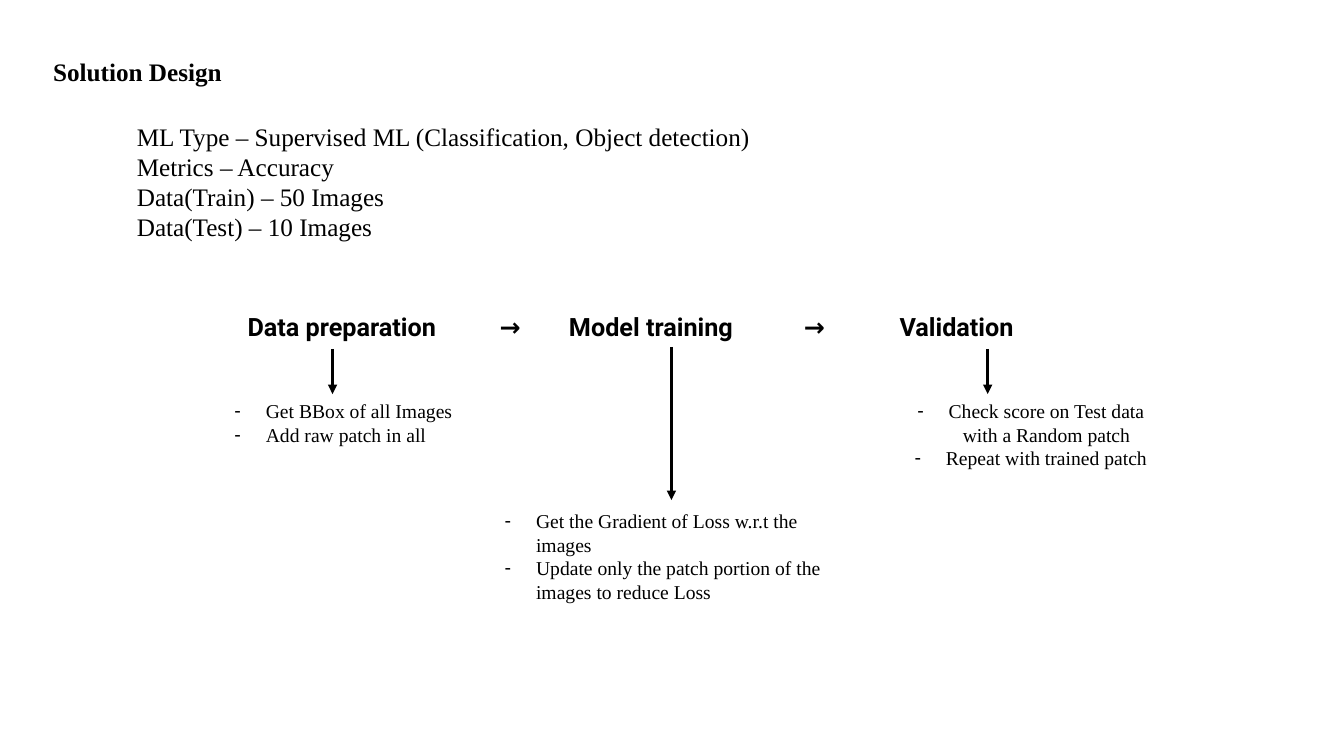
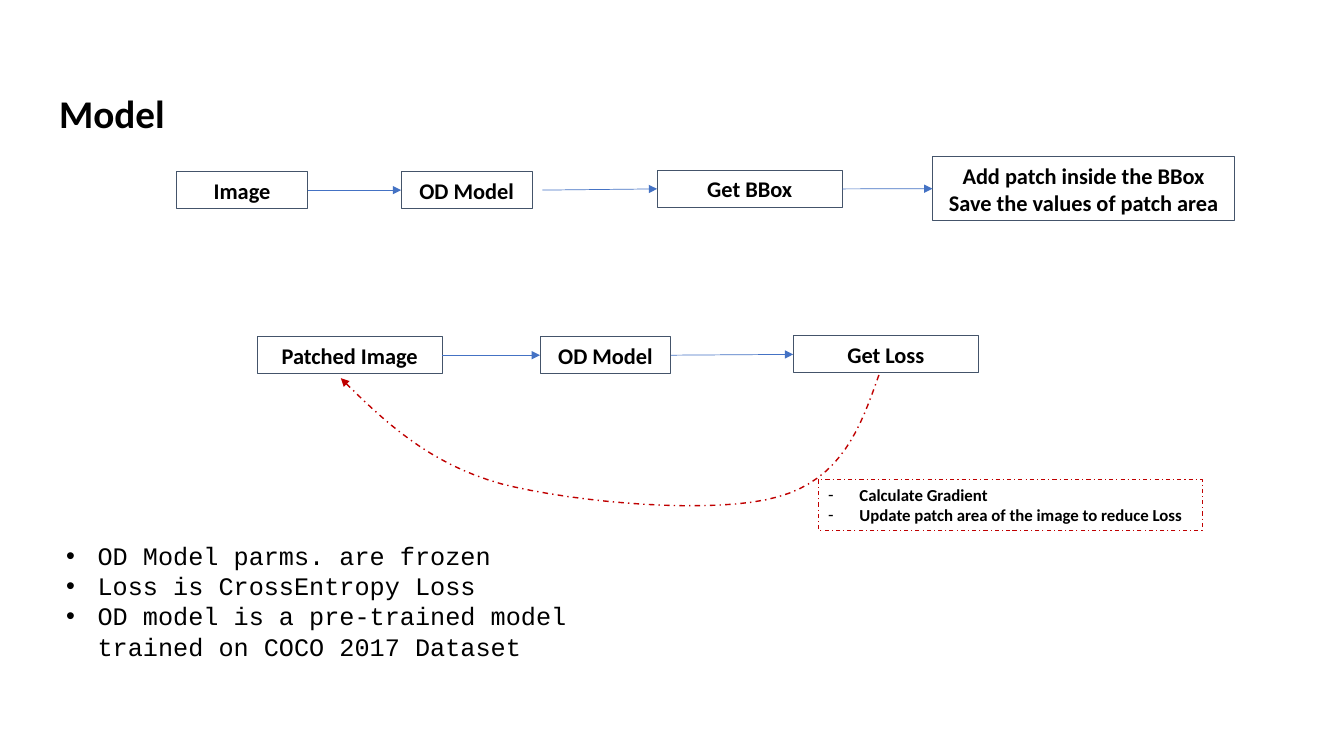
from typing import NamedTuple, Optional

from lxml import etree
from pptx import Presentation, util as u
from pptx.dml import color
from pptx.enum import dml, shapes, text as t
from pptx.oxml import ns

BLACK, SLATE, BLUE, RED = "000000", "44546A", "4472C4", "C00000"
SERIF, SANS, HEADING, MONO = "Times New Roman", "Calibri", "Roboto", "Courier New"
HANG = u.Cm(0.79)
TOP, LEFT, BOTTOM, RIGHT = range(4)
CURVE_STEPS = 16


class Area(NamedTuple):
    """Left, top, width and height in centimetres."""
    left: float
    top: float
    width: float
    height: float

    def lengths(self) -> list:
        return [u.Cm(value) for value in self]


class Stage(NamedTuple):
    """A step of the solution: its down arrow and the notes below."""
    arrow_x: float
    arrow_top: float
    arrow_bottom: float
    area: Area
    notes: tuple
    align: Optional[t.PP_ALIGN] = None


class Node(NamedTuple):
    label: str
    area: Area


class Link(NamedTuple):
    """An arrow between two nodes; a given start point leaves its tail free."""
    source: str
    target: str
    start: Optional[tuple] = None


STAGES = (
    Stage(8.38, 8.79, 9.93, Area(5.66, 9.93, 6.32, 1.45),
          ("Get BBox of all Images", "Add raw patch in all")),
    Stage(16.92, 8.74, 12.6, Area(12.47, 12.7, 8.79, 2.64),
          ("Get the Gradient of Loss w.r.t the images",
           "Update only the patch portion of the images to reduce Loss")),
    Stage(24.89, 8.79, 9.93, Area(22.68, 9.93, 6.6, 2.06),
          ("Check score on Test data with a Random patch", "Repeat with trained patch"),
          t.PP_ALIGN.CENTER),
)
HEADINGS = ("Data preparation", "→", "Model training", "→", "Validation")
HEADING_TABS = (6.35, 8.1, 14.02, 16.43)

NARROW, WIDE, LOW = 3.3, 4.67, 0.94
NODES = {
    "image": Node("Image", Area(4.45, 4.32, NARROW, LOW)),
    "detector": Node("OD Model", Area(10.11, 4.32, NARROW, LOW)),
    "bbox": Node("Get BBox", Area(16.56, 4.29, WIDE, LOW)),
    "patch": Node("Add patch inside the BBox\nSave the values of patch area",
                  Area(23.5, 3.94, 7.62, 1.63)),
    "patched": Node("Patched Image", Area(6.48, 8.48, WIDE, LOW)),
    "frozen": Node("OD Model", Area(13.61, 8.48, NARROW, LOW)),
    "loss": Node("Get Loss", Area(19.99, 8.46, WIDE, LOW)),
}
LINKS = (
    Link("image", "detector"),
    Link("detector", "bbox", (13.67, 4.79)),
    Link("bbox", "patch"),
    Link("patched", "frozen"),
    Link("frozen", "loss"),
)
FEEDBACK_START = (22.15, 9.45)
FEEDBACK_CURVES = (
    ((21.69, 10.77), (21.21, 12.07), (19.61, 12.52)),
    ((18.03, 12.98), (14.48, 12.67), (12.62, 12.19)),
    ((10.8, 11.68), (9.68, 10.62), (8.59, 9.53)),
)


def rgb(value: str) -> color.RGBColor:
    return color.RGBColor.from_string(value)


def add_xml(parent, tag: str, **attributes):
    return etree.SubElement(parent, ns.qn(tag), **attributes)


def set_line(item, colour: str, width: float, dashed: bool = False, arrow: bool = False) -> None:
    item.line.color.rgb = rgb(colour)
    item.line.width = u.Pt(width)
    if dashed:
        item.line.dash_style = dml.MSO_LINE.DASH_DOT
    if arrow:
        add_xml(item.line._get_or_add_ln(), "a:tailEnd", type="triangle")


def write(box, content: str, *, size: float, font: str = SERIF, bold: bool = False,
          align=None, bullet: str = "", tabs: tuple = ()) -> None:
    """Fill a box with one paragraph for each line of content."""
    frame = box.text_frame
    frame.word_wrap = True
    frame.auto_size = t.MSO_AUTO_SIZE.SHAPE_TO_FIT_TEXT
    for index, line in enumerate(content.split("\n")):
        para = frame.add_paragraph() if index else frame.paragraphs[0]
        para.alignment = align
        properties = para._p.get_or_add_pPr()
        if bullet:
            properties.set("marL", str(HANG))
            properties.set("indent", str(-HANG))
            add_xml(properties, "a:buFont", typeface="Arial")
            add_xml(properties, "a:buChar", char=bullet)
        if tabs:
            stops = add_xml(properties, "a:tabLst")
            for position in tabs:
                add_xml(stops, "a:tab", pos=str(u.Cm(position)), algn="l")
        span = para.add_run()
        span.text = line
        span.font.size = u.Pt(size)
        span.font.name = font
        span.font.bold = bold
        span.font.color.rgb = rgb(BLACK)


def add_text(page, area: Area, content: str, **style) -> None:
    write(page.shapes.add_textbox(*area.lengths()), content, **style)


def add_frame(page, area: Area, content: str, *, colour: str = SLATE,
              dashed: bool = False, **style):
    """Draw an unfilled rectangle with bold text."""
    box = page.shapes.add_shape(shapes.MSO_SHAPE.RECTANGLE, *area.lengths())
    box.shadow.inherit = False
    box.fill.background()
    set_line(box, colour, 0.75, dashed)
    write(box, content, font=SANS, bold=True, **style)
    return box


def add_arrow(page, start: tuple, end: tuple, colour: str, width: float):
    points = [u.Cm(value) for value in (*start, *end)]
    arrow = page.shapes.add_connector(shapes.MSO_CONNECTOR.STRAIGHT, *points)
    set_line(arrow, colour, width, arrow=True)
    add_xml(arrow._element.spPr, "a:effectLst")
    return arrow


def curve_points(start: tuple, curves: tuple) -> list:
    """Sample a chain of cubic Bézier curves, without its first point."""
    points = []
    for first, second, end in curves:
        for step in range(1, CURVE_STEPS + 1):
            s = step / CURVE_STEPS
            r = 1 - s
            weights = (r ** 3, 3 * r * r * s, 3 * r * s * s, s ** 3)
            corners = (start, first, second, end)
            points.append(tuple(u.Cm(sum(w * corner[axis] for w, corner in zip(weights, corners)))
                                for axis in (0, 1)))
        start = end
    return points


def add_feedback(page) -> None:
    builder = page.shapes.build_freeform(*(u.Cm(value) for value in FEEDBACK_START))
    builder.add_line_segments(curve_points(FEEDBACK_START, FEEDBACK_CURVES), close=False)
    feedback = builder.convert_to_shape()
    feedback.shadow.inherit = False
    feedback.fill.background()
    set_line(feedback, RED, 1, dashed=True, arrow=True)


def build_solution(page) -> None:
    add_text(page, Area(1.09, 1.3, 5.97, 1.02), "Solution Design", size=18, bold=True)
    add_text(page, Area(3.2, 2.92, 17.35, 3.33),
             "ML Type – Supervised ML (Classification, Object detection)\n"
             "Metrics – Accuracy\nData(Train) – 50 Images\nData(Test) – 10 Images", size=18)
    add_text(page, Area(5.99, 7.72, 24.49, 1.02), "\t".join(HEADINGS),
             size=18, font=HEADING, bold=True, tabs=HEADING_TABS)
    for stage in STAGES:
        add_arrow(page, (stage.arrow_x, stage.arrow_top),
                  (stage.arrow_x, stage.arrow_bottom), BLACK, 2.25)
        add_text(page, stage.area, "\n".join(stage.notes), size=14, align=stage.align, bullet="-")


def build_model(page) -> None:
    add_text(page, Area(1.24, 2.13, 15.14, 1.45), "Model", size=28, font=SANS, bold=True)
    boxes = {name: add_frame(page, node.area, node.label, size=16, align=t.PP_ALIGN.CENTER)
             for name, node in NODES.items()}
    for link in LINKS:
        arrow = add_arrow(page, link.start or (0, 0), (0, 0), BLUE, 0.5)
        if not link.start:
            arrow.begin_connect(boxes[link.source], RIGHT)
        arrow.end_connect(boxes[link.target], LEFT)
    add_text(page, Area(1.42, 13.49, 14.33, 4.11),
             "OD Model parms. are frozen\nLoss is CrossEntropy Loss\n"
             "OD model is a pre-trained model trained on COCO 2017 Dataset",
             size=18, font=MONO, bullet="•")
    add_feedback(page)
    add_frame(page, Area(20.62, 12.09, 9.68, 1.27),
              "Calculate Gradient\nUpdate patch area of the image to reduce Loss",
              colour=RED, dashed=True, size=12, align=t.PP_ALIGN.LEFT, bullet="-")


def main() -> None:
    deck = Presentation()
    deck.slide_width, deck.slide_height = u.Cm(33.87), u.Cm(19.05)
    for build in (build_solution, build_model):
        build(deck.slides.add_slide(deck.slide_layouts[6]))
    deck.save("out.pptx")


if __name__ == "__main__":
    main()
